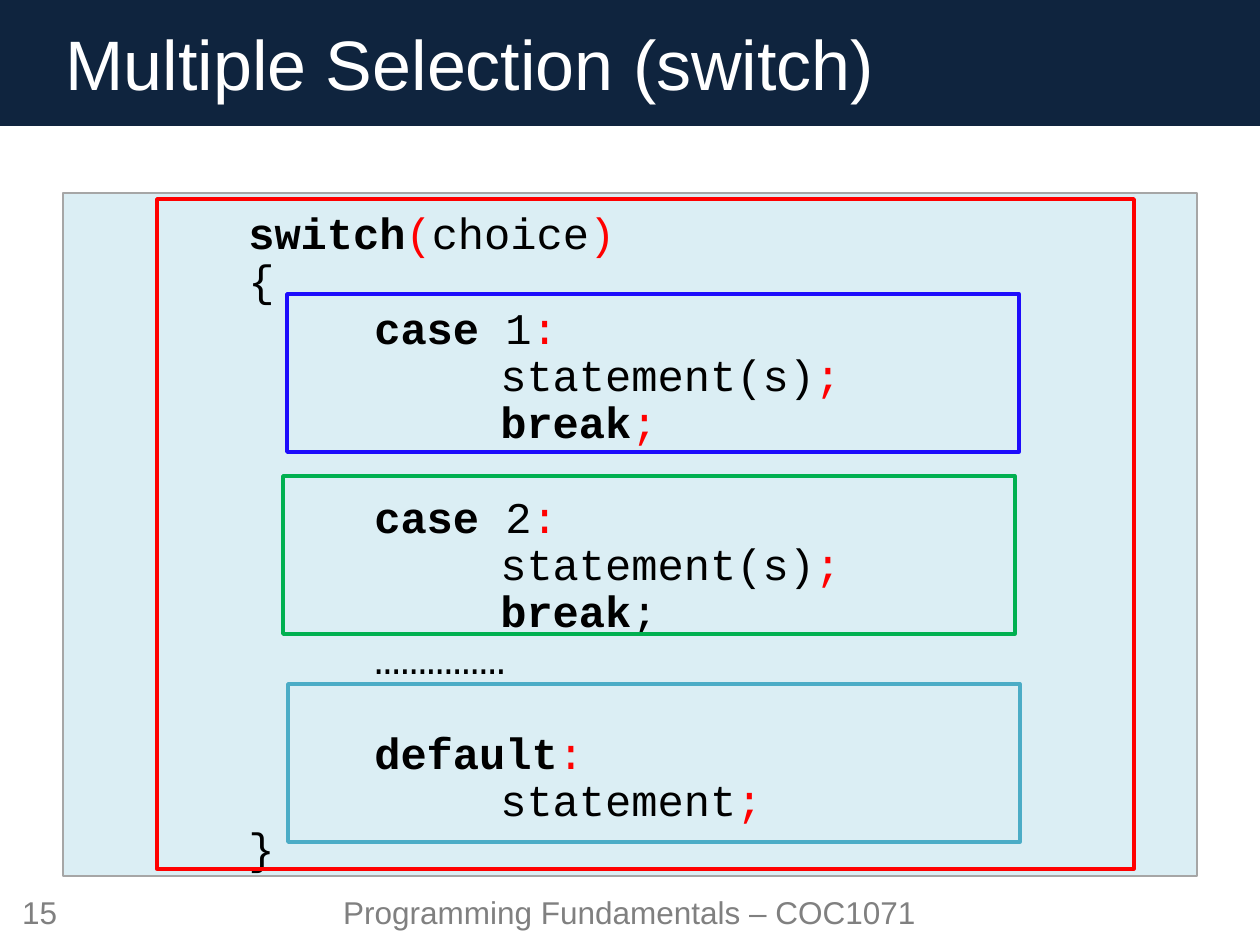
import pptx
import pptx.dml.color
import pptx.enum.shapes
import pptx.enum.text
import pptx.util

ALIGN = pptx.enum.text.PP_ALIGN
ANCHOR = pptx.enum.text.MSO_ANCHOR
EMU_PER_PX = 914400 / 126


def px(length):
    return pptx.util.Emu(round(length * EMU_PER_PX))


def color(value):
    return pptx.dml.color.RGBColor.from_string(value)


class SlideBuilder:
    text_font = "Arial"
    code_font = "Courier New"
    navy = "0F243E"
    gray = "808080"
    red = "FF0000"
    code_size = 25
    code_pitch = 27
    code_margin = 173
    code_step = 126

    def __init__(self, deck):
        self.page = deck.slides.add_slide(deck.slide_layouts[5])

    def style(self, font, name, size, value, bold=False):
        font.name = name
        font.size = pptx.util.Pt(size)
        font.bold = bold
        font.color.rgb = color(value)

    def rectangle(self, bounds, fill=None, line=None, width=2):
        box = self.page.shapes.add_shape(
            pptx.enum.shapes.MSO_SHAPE.RECTANGLE, *map(px, bounds))
        box.shadow.inherit = False
        if fill:
            box.fill.solid()
            box.fill.fore_color.rgb = color(fill)
        else:
            box.fill.background()
        if line:
            box.line.color.rgb = color(line)
            box.line.width = pptx.util.Pt(width)
        else:
            box.line.fill.background()
        return box

    def title(self, text):
        title = self.page.shapes.title
        title.left, title.top, title.width, title.height = map(px, (53, 0, 1155, 126))
        title.fill.solid()
        title.fill.fore_color.rgb = color(self.navy)
        band = self.rectangle((0, 0, 1260, 126), self.navy)
        title.element.addprevious(band.element)
        frame = title.text_frame
        frame.text = text
        frame.vertical_anchor = ANCHOR.MIDDLE
        para = frame.paragraphs[0]
        para.alignment = ALIGN.LEFT
        self.style(para.runs[0].font, self.text_font, 40, "FFFFFF")

    def footer(self, text, left, width):
        box = self.page.shapes.add_textbox(*map(px, (left, 882, width, 59)))
        frame = box.text_frame
        frame.text = text
        frame.word_wrap = True
        frame.vertical_anchor = ANCHOR.MIDDLE
        para = frame.paragraphs[0]
        para.alignment = ALIGN.CENTER
        self.style(para.runs[0].font, self.text_font, 18, self.gray)

    def code(self, bounds, rows):
        box = self.rectangle(bounds, "DBEEF4", "A6A6A6", 0.75)
        frame = box.text_frame
        frame.word_wrap = True
        frame.vertical_anchor = ANCHOR.TOP
        frame.margin_top = px(18)
        frame.margin_bottom = 0
        for index, (level, gap, spans) in enumerate(rows):
            para = frame.add_paragraph() if index else frame.paragraphs[0]
            para.alignment = ALIGN.LEFT
            para.line_spacing = pptx.util.Pt(self.code_pitch)
            para.space_before = pptx.util.Pt(gap * self.code_pitch)
            properties = para._p.get_or_add_pPr()
            properties.set("marL", str(px(self.code_margin + level * self.code_step)))
            properties.set("indent", "0")
            for text, kind in spans:
                span = para.add_run()
                span.text = text
                self.style(span.font, self.code_font, self.code_size,
                           self.red if kind == "mark" else "000000", kind == "keyword")


def case_rows(number, gap, ending):
    return [
        (1, gap, [("case", "keyword"), (f" {number}", ""), (":", "mark")]),
        (2, 0, [("statement(s)", ""), (";", "mark")]),
        (2, 0, [("break", "keyword"), (";", ending)]),
    ]


def main():
    deck = pptx.Presentation()
    deck.slide_width, deck.slide_height = px(1260), px(945)
    slide = SlideBuilder(deck)
    slide.title("Multiple Selection (switch)")
    slide.footer("Programming Fundamentals – COC1071", 283, 693)
    slide.footer("15", 0, 79)
    slide.code((63, 193, 1134, 683), [
        (0, 0, [("switch", "keyword"), ("(", "mark"), ("choice", ""), (")", "mark")]),
        (0, 0, [("{", "")]),
        *case_rows(1, 0, "mark"),
        *case_rows(2, 1, ""),
        (1, 0, [("……………", "")]),
        (1, 1, [("default", "keyword"), (":", "mark")]),
        (2, 0, [("statement", ""), (";", "mark")]),
        (0, 0, [("}", "")]),
    ])
    slide.rectangle((157, 199, 977, 670), line=SlideBuilder.red)
    for left, top, outline in [(287, 294, "1D0CFC"), (283, 476, "00B050"),
                               (288, 684, "4BACC6")]:
        slide.rectangle((left, top, 732, 158), line=outline)
    deck.save("out.pptx")


if __name__ == "__main__":
    main()
